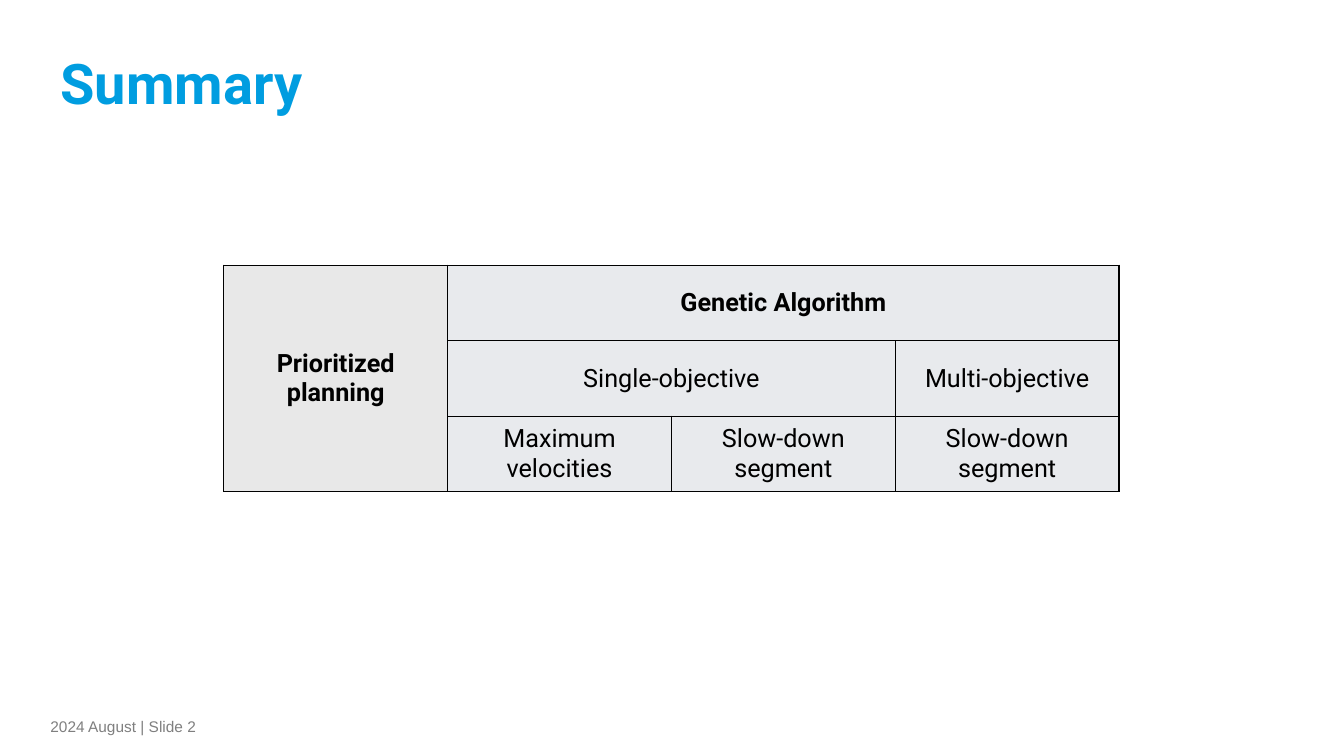
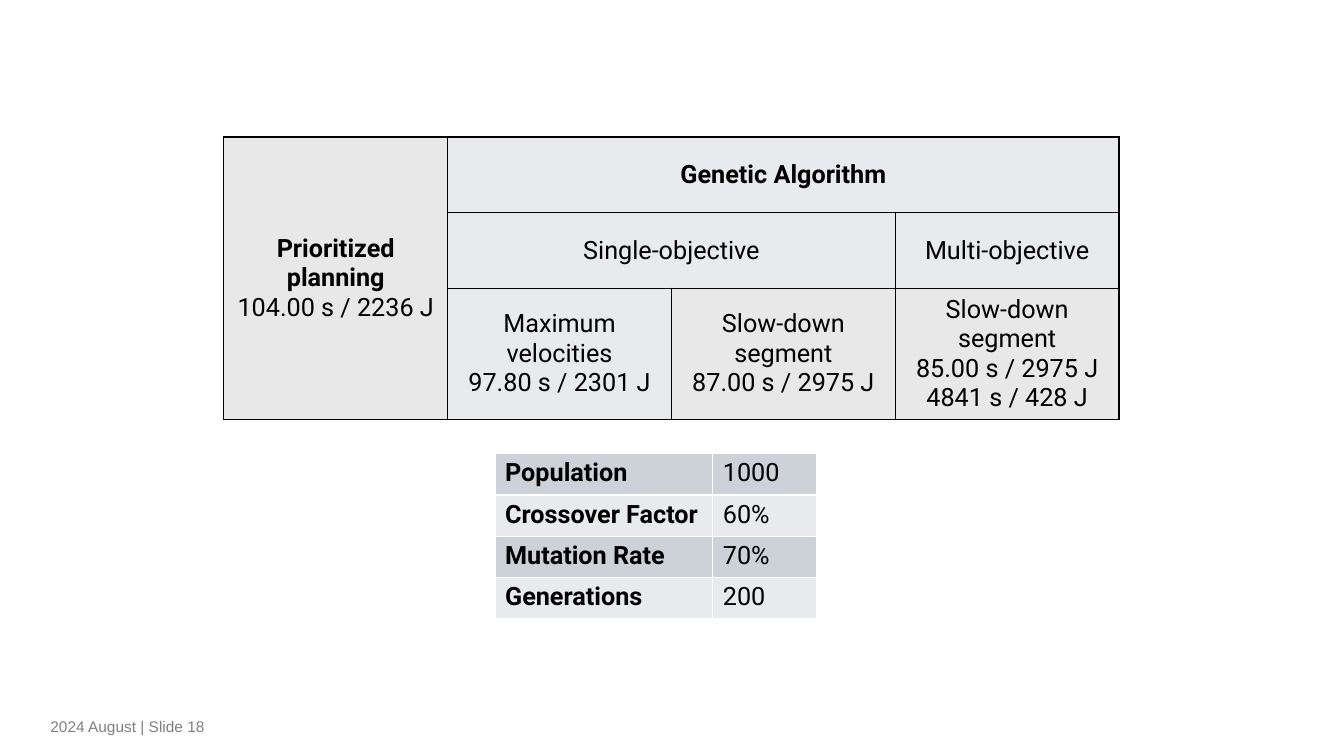
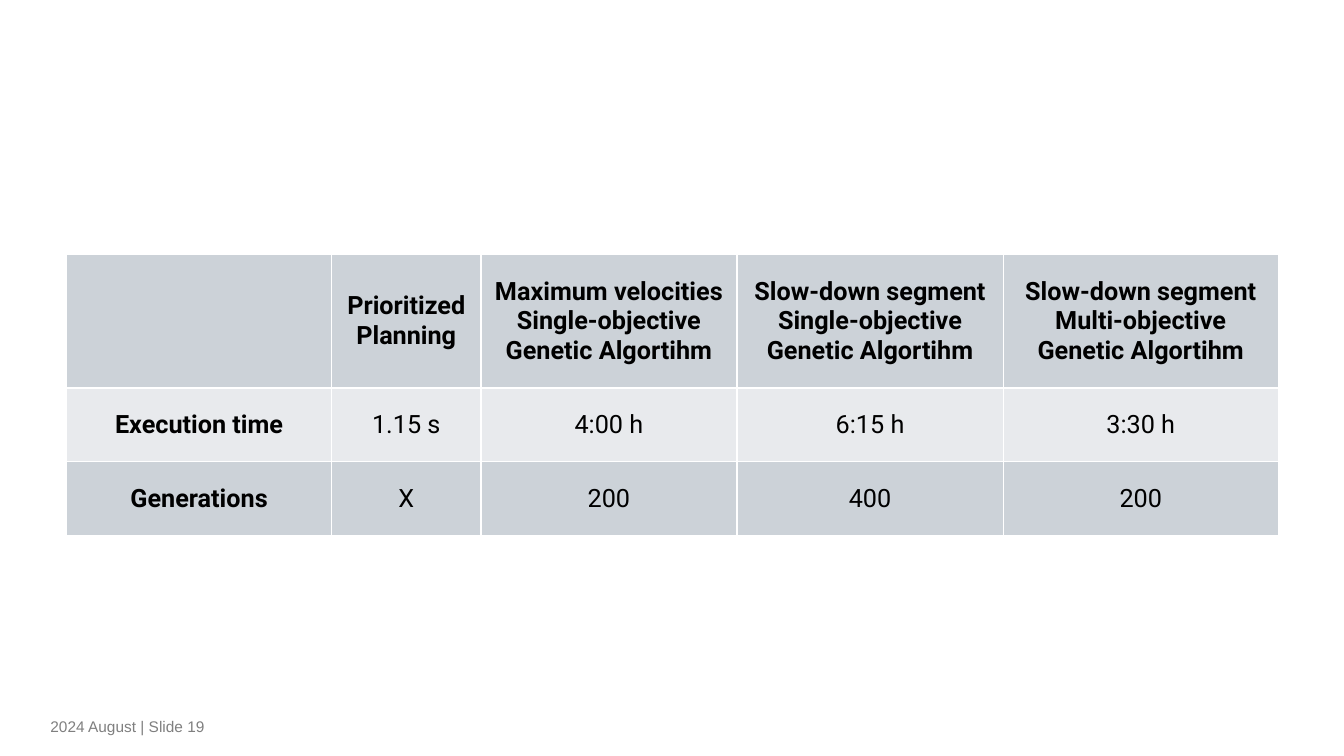
from pptx import Presentation
from pptx.dml.color import RGBColor
from pptx.enum.text import MSO_ANCHOR, PP_ALIGN
from pptx.oxml import parse_xml
from pptx.oxml.ns import nsdecls
from pptx.util import Inches, Pt

# Shared look
COLORS = {"title": "009DE0", "footer": "7F7F7F", "text": "000000", "white": "FFFFFF",
          "grey": "E8E8E8", "light": "E8EAED", "dark": "CCD2D8"}
TITLE_FONT = {"name": "Roboto", "size": Pt(40), "bold": True}
FOOTER_FONT = {"name": "Arial", "size": Pt(11)}
TABLE_FONT = {"name": "Roboto", "size": Pt(18)}
FOOTER_MARGINS = {"margin_left": 0, "margin_top": 0, "margin_right": 0,
                  "margin_bottom": Inches(0.05)}


def set_font(paragraph, style, color, **extra):
    for attribute, value in {**style, **extra}.items():
        setattr(paragraph.font, attribute, value)
    paragraph.font.color.rgb = RGBColor.from_string(COLORS[color])


def draw_table(slide, position, widths, heights, rows, border, fill_of, is_bold,
               merges=(), align=PP_ALIGN.CENTER, anchor=MSO_ANCHOR.MIDDLE):
    """Text lines become paragraphs; fill_of(row, col) and is_bold(row, col, line) give the look."""
    left, top = position
    table = slide.shapes.add_table(len(rows), len(widths), Inches(left), Inches(top),
                                   Inches(sum(widths)), Inches(sum(heights))).table
    table.first_row = table.horz_banding = False
    for column, width in zip(table.columns, widths):
        column.width = Inches(width)
    for table_row, height in zip(table.rows, heights):
        table_row.height = Inches(height)
    for first, last in merges:
        table.cell(*first).merge(table.cell(*last))
    for row, texts in enumerate(rows):
        for col, text in enumerate(texts):
            cell = table.cell(row, col)
            for side in ("lnL", "lnR", "lnT", "lnB"):
                cell._tc.get_or_add_tcPr().append(parse_xml(
                    f'<a:{side} {nsdecls("a")} w="12700"><a:solidFill>'
                    f'<a:srgbClr val="{COLORS[border]}"/></a:solidFill></a:{side}>'))
            cell.fill.solid()
            cell.fill.fore_color.rgb = RGBColor.from_string(COLORS[fill_of(row, col)])
            cell.vertical_anchor = anchor
            cell.text = text
            for line, paragraph in enumerate(cell.text_frame.paragraphs):
                paragraph.alignment = align
                set_font(paragraph, TABLE_FONT, "text", bold=is_bold(row, col, line))


deck = Presentation()
deck.slide_width, deck.slide_height = Inches(13.33), Inches(7.5)
title_only, blank = deck.slide_layouts[5], deck.slide_layouts[6]
summary = deck.slides.add_slide(title_only)
results = deck.slides.add_slide(blank)
timing = deck.slides.add_slide(blank)

# Footers
for slide, number in ((summary, 2), (results, 18), (timing, 19)):
    footer = slide.shapes.add_textbox(Inches(0.5), Inches(7.12), Inches(2.33), Inches(0.22))
    frame = footer.text_frame
    for attribute, value in FOOTER_MARGINS.items():
        setattr(frame, attribute, value)
    frame.word_wrap = True
    frame.vertical_anchor = MSO_ANCHOR.MIDDLE
    frame.text = f"2024 August | Slide {number}"
    set_font(frame.paragraphs[0], FOOTER_FONT, "footer")

# Summary title
title = summary.shapes.title
title.left, title.top, title.width, title.height = map(Inches, (0.5, 0.39, 12.57, 0.93))
title.text_frame.text = "Summary"
title.text_frame.vertical_anchor = MSO_ANCHOR.MIDDLE
heading = title.text_frame.paragraphs[0]
heading.alignment = PP_ALIGN.LEFT
heading.line_spacing = 0.9
set_font(heading, TITLE_FONT, "title")

# Method overview, without results and then with them
plain_methods = ["Prioritized planning", "Maximum velocities", "Slow-down segment",
                 "Slow-down segment"]
measured = ["104.00 s / 2236 J", "97.80 s / 2301 J", "87.00 s / 2975 J",
            "85.00 s / 2975 J\n4841 s / 428 J"]
measured_methods = [f"{method}\n{result}" for method, result in zip(plain_methods, measured)]
overviews = (
    (summary, 2.63, 0.75, plain_methods, {(0, 0)}),
    (results, 1.36, 1.28, measured_methods, {(0, 0), (2, 2), (2, 3)}),
)
for slide, top, last_height, (planning, *variants), grey_cells in overviews:
    draw_table(
        slide, (2.22, top), [2.22] * 4, [0.75, 0.75, last_height],
        [[planning, "Genetic Algorithm", "", ""],
         ["", "Single-objective", "", "Multi-objective"],
         ["", *variants]],
        "text",
        lambda row, col: "grey" if (row, col) in grey_cells else "light",
        lambda row, col, line: row == 0 and line == 0,
        merges=[((0, 0), (2, 0)), ((0, 1), (0, 3)), ((1, 1), (1, 2))])

# Genetic algorithm parameters
draw_table(
    results, (4.91, 4.5), [2.16, 1.03], [0.41] * 4,
    [["Population", "1000"], ["Crossover Factor", "60%"],
     ["Mutation Rate", "70%"], ["Generations", "200"]],
    "white",
    lambda row, col: "light" if row % 2 else "dark",
    lambda row, col, line: col == 0,
    align=PP_ALIGN.LEFT, anchor=MSO_ANCHOR.TOP)

# Execution times
draw_table(
    timing, (0.66, 2.52), [2.63, 1.48, 2.54, 2.64, 2.73], [1.33, 0.73, 0.73],
    [["", "Prioritized Planning",
      "Maximum velocities\nSingle-objective\nGenetic Algortihm",
      "Slow-down segment\nSingle-objective Genetic Algortihm",
      "Slow-down segment\nMulti-objective\nGenetic Algortihm"],
     ["Execution time", "1.15 s", "4:00 h", "6:15 h", "3:30 h"],
     ["Generations", "X", "200", "400", "200"]],
    "white",
    lambda row, col: "light" if row % 2 else "dark",
    lambda row, col, line: row == 0 or col == 0)

deck.save("out.pptx")
